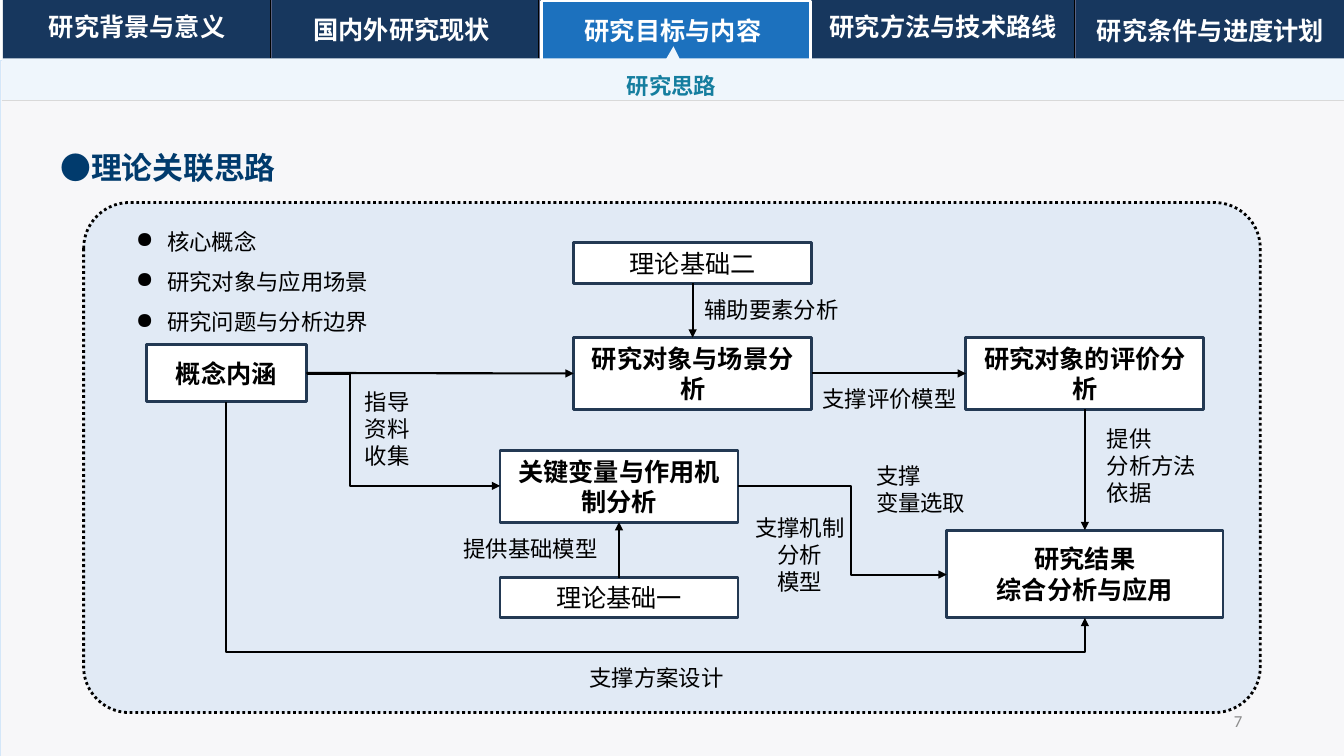
"""Build the slide on how the theories of the study are linked."""
import pptx
import pptx.dml.color
import pptx.enum.dml
import pptx.enum.shapes
import pptx.enum.text
import pptx.oxml.ns
import pptx.util
from lxml import etree

PX = 9144
FONT = "Noto Sans CJK SC"
BLACK, WHITE, NAVY, TEAL = "000000", "FFFFFF", "17375E", "157E9F"
SHAPE = pptx.enum.shapes.MSO_SHAPE
LINK = pptx.enum.shapes.MSO_CONNECTOR
ALIGN = pptx.enum.text.PP_ALIGN
MIDDLE = pptx.enum.text.MSO_ANCHOR.MIDDLE
TOP, LEFT, BOTTOM, RIGHT = range(4)

TABS = [
    ("研究背景与意义", (3, 6, 266, 41)),
    ("国内外研究现状", (266, 9, 265, 41)),
    ("研究目标与内容", (535, 10, 265, 41)),
    ("研究方法与技术路线", (803, 6, 265, 41)),
    ("研究条件与进度计划", (1068, 10, 265, 41)),
]
DIVIDER_START, DIVIDER_STEP = 268, 266
SUBTITLE_BAND = [(668, 46), (674, 58), (1335, 58), (1335, 100), (2, 100), (2, 58), (661, 58)]
NODES = {
    "concept": (["概念内涵"], (145, 342, 159, 56), True),
    "scene": (["研究对象与场景分析"], (569, 335, 236, 71), True),
    "variables": (["关键变量与作用机制分析"], (496, 447, 236, 71), True),
    "evaluation": (["研究对象的评价分析"], (958, 335, 236, 71), True),
    "theory one": (["理论基础一"], (496, 573, 236, 40), False),
    "theory two": (["理论基础二"], (569, 241, 236, 40), False),
    "result": (["研究结果", "综合分析与应用"], (939, 526, 274, 87), True),
}
STRAIGHT_ARROWS = [
    ("concept", RIGHT, "scene", LEFT),
    ("scene", RIGHT, "evaluation", LEFT),
    ("theory two", BOTTOM, "scene", TOP),
    ("theory one", TOP, "variables", BOTTOM),
    ("evaluation", BOTTOM, "result", TOP),
]
BENT_ARROWS = [
    ((304, 371), (496, 482), 22300, False),
    ((732, 482), (939, 570), 54300, False),
    ((224, 399), (1076, 613), 115800, True),
]
TOPICS = ["核心概念", "研究对象与应用场景", "研究问题与分析边界"]
LABELS = [
    (["辅助要素分析"], (689, 289, 160, 37), ALIGN.LEFT),
    (["提供基础模型"], (450, 526, 160, 37), ALIGN.LEFT),
    (["指导资料收集"], (352, 380, 72, 91), ALIGN.LEFT),
    (["支撑", "变量选取"], (859, 454, 129, 64), ALIGN.LEFT),
    (["提供", "分析方法依据"], (1088, 417, 112, 91), ALIGN.LEFT),
    (["支撑机制分析", "模型"], (730, 505, 127, 91), ALIGN.CENTER),
    (["支撑方案设计"], (575, 654, 202, 37), ALIGN.LEFT),
    (["支撑评价模型"], (806, 377, 160, 37), ALIGN.LEFT),
]


def color(value):
    return pptx.dml.color.RGBColor.from_string(value)


def emu(lengths):
    return [round(length * PX) for length in lengths]


def add_xml(parent, tag, **values):
    child = etree.SubElement(parent, pptx.oxml.ns.qn(tag))
    for name, value in values.items():
        child.set(name, value)
    return child


def paint(shape, fill=None, line=None, width=1):
    shape.shadow.inherit = False
    if fill:
        shape.fill.solid()
        shape.fill.fore_color.rgb = color(fill)
    else:
        shape.fill.background()
    if line:
        shape.line.color.rgb = color(line)
        shape.line.width = pptx.util.Pt(width)
    else:
        shape.line.fill.background()
    return shape


def add_block(page, place, kind=SHAPE.RECTANGLE, **look):
    return paint(page.shapes.add_shape(kind, *emu(place)), **look)


def write(shape, lines, size, ink=BLACK, bold=False, font=FONT, bullet=None,
          frame_format=None, **paragraph_format):
    frame = shape.text_frame
    for name, value in {"word_wrap": True, **(frame_format or {})}.items():
        setattr(frame, name, value)
    for index, line in enumerate(lines):
        para = frame.add_paragraph() if index else frame.paragraphs[0]
        for name, value in paragraph_format.items():
            setattr(para, name, value)
        if bullet:
            properties = para._p.get_or_add_pPr()
            properties.set("marL", str(31 * PX))
            properties.set("indent", str(-31 * PX))
            add_xml(properties, "a:buChar", char=bullet)
        span = para.add_run()
        span.text = line
        for name, value in {"size": pptx.util.Pt(size), "bold": bold, "name": font}.items():
            setattr(span.font, name, value)
        span.font.color.rgb = color(ink)
        add_xml(span._r.get_or_add_rPr(), "a:ea", typeface=font)


def add_text(page, place, lines, size, **look):
    write(page.shapes.add_textbox(*emu(place)), lines, size, **look)


def add_line(page, start, end, ink, width, kind=LINK.STRAIGHT, arrow=False):
    line = page.shapes.add_connector(kind, *emu(start + end))
    line.line.color.rgb = color(ink)
    line.line.width = pptx.util.Pt(width)
    if arrow:
        add_xml(line.line._get_or_add_ln(), "a:tailEnd", type="triangle")
    add_xml(line.element.spPr, "a:effectLst")
    return line


def add_bent_arrow(page, start, end, bend, vertical):
    if vertical:
        middle_x, middle_y = (start[0] + end[0]) / 2, (start[1] + end[1]) / 2
        half_x, half_y = (end[1] - start[1]) / 2, (end[0] - start[0]) / 2
        start = (middle_x - half_x, middle_y - half_y)
        end = (middle_x + half_x, middle_y + half_y)
    arrow = add_line(page, start, end, BLACK, 1.5, LINK.ELBOW, True)
    if vertical:
        arrow.element.spPr.xfrm.set("rot", "16200000")
        arrow.element.spPr.xfrm.set("flipH", "1")
    guides = arrow.element.spPr.prstGeom.get_or_add_avLst()
    add_xml(guides, "a:gd", name="adj1", fmla=f"val {bend}")


def add_header(page):
    add_block(page, (3, 0, 1333, 60), fill=NAVY)
    add_block(page, (0, 60, 1333, 690), fill="F7F7F9", line="D4E7F9", width=0.5)
    for index in range(len(TABS) - 1):
        x = DIVIDER_START + index * DIVIDER_STEP
        add_line(page, (x, -2), (x, 58), BLACK, 0.5)
        add_line(page, (x + 1, -2), (x + 1, 58), "596181", 0.75)
    add_block(page, (537, 1, 267, 60), fill="1C71BE", line=WHITE, width=2)
    outline = page.shapes.build_freeform(*SUBTITLE_BAND[0], scale=PX)
    outline.add_line_segments(SUBTITLE_BAND[1:])
    paint(outline.convert_to_shape(), fill="EFF6FC")
    add_line(page, (2, 100), (1335, 100), "D9D9D9", 0.5)
    for name, place in TABS:
        tab = add_block(page, place, SHAPE.ROUNDED_RECTANGLE)
        tab.adjustments[0] = 0
        write(tab, [name], 18, WHITE, True, alignment=ALIGN.CENTER)


def add_diagram(page):
    panel = add_block(page, (83, 201, 1167, 506), SHAPE.ROUNDED_RECTANGLE,
                      fill="207FD6", line=BLACK, width=2)
    panel.adjustments[0] = 0.09
    panel.line.dash_style = pptx.enum.dml.MSO_LINE.ROUND_DOT
    tint = panel.element.spPr.find(pptx.oxml.ns.qn("a:solidFill"))[0]
    add_xml(tint, "a:alpha", val="10000")
    boxes = {}
    for name, (lines, place, bold) in NODES.items():
        boxes[name] = add_block(page, place, fill=WHITE, line="233953", width=2)
        write(boxes[name], lines, 18, bold=bold, alignment=ALIGN.CENTER)
    for source, source_side, target, target_side in STRAIGHT_ARROWS:
        arrow = add_line(page, (0, 0), (0, 0), BLACK, 1.5, arrow=True)
        arrow.begin_connect(boxes[source], source_side)
        arrow.end_connect(boxes[target], target_side)
    for bent in BENT_ARROWS:
        add_bent_arrow(page, *bent)
    add_text(page, (125, 208, 427, 127), TOPICS, 16, bullet="●", line_spacing=1.5)
    for lines, place, alignment in LABELS:
        add_text(page, place, lines, 16, alignment=alignment)


def main():
    deck = pptx.Presentation()
    deck.slide_width, deck.slide_height = emu((1333, 750))
    page = deck.slides.add_slide(deck.slide_layouts[6])
    add_header(page)
    add_diagram(page)
    add_text(page, (50, 124, 1233, 59), ["●理论关联思路"], 22, ink="013B6D", bold=True,
             line_spacing=1.5, space_after=pptx.util.Pt(8))
    add_text(page, (612, 55, 111, 46), ["研究思路"], 16, ink=TEAL, bold=True, line_spacing=1.5,
             frame_format={"word_wrap": False, "vertical_anchor": MIDDLE})
    add_text(page, (942, 695, 300, 40), ["7"], 12, ink="8C8C8C", font="Calibri",
             alignment=ALIGN.RIGHT, frame_format={"vertical_anchor": MIDDLE})
    deck.save("out.pptx")


if __name__ == "__main__":
    main()
